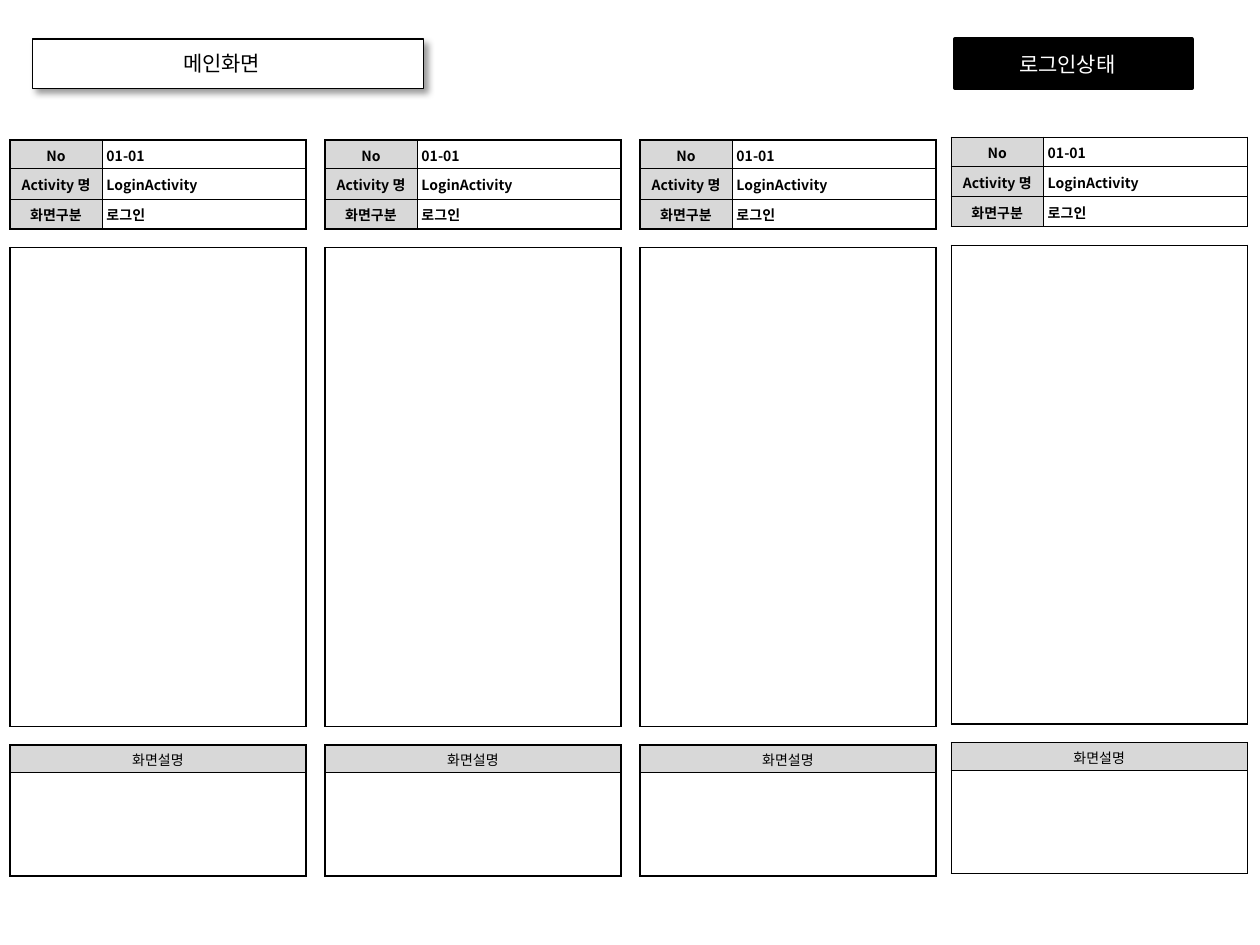
from lxml.etree import SubElement
from pptx import Presentation
from pptx.dml.color import RGBColor
from pptx.enum.shapes import MSO_SHAPE as Shape
from pptx.enum.text import MSO_ANCHOR as Anchor, MSO_AUTO_SIZE as Fit, PP_ALIGN as Align
from pptx.oxml import parse_xml
from pptx.oxml.ns import nsdecls, qn
from pptx.util import Inches, Pt

BLACK = RGBColor(0x00, 0x00, 0x00)
WHITE = RGBColor(0xFF, 0xFF, 0xFF)
GRAY = RGBColor(0xD8, 0xD8, 0xD8)
FONT = "Noto Sans CJK KR"
PLAIN = "{2D5ABB26-0587-4C30-8999-92F81FD0307C}"
COLS = [0.73, 1.62]
ROWS = [0.23, 0.24, 0.24, 0.07, 3.8, 0.14, 0.22, 0.82]
GAPS = (3, 5)
WIDE = (4, 6, 7)
FIELDS = [("No", " 01-01"), ("Activity 명", " LoginActivity"), ("화면구분", " 로그인")]
SPOTS = [(0.08, 1.11), (2.58, 1.11), (5.08, 1.11), (7.55, 1.09)]


def write(frame, text, size=8, font=FONT, color=BLACK, bold=False, align=Align.CENTER):
    """Put one formatted line into a text frame."""
    par = frame.paragraphs[0]
    par.alignment = align
    if not text:
        SubElement(par._p, qn("a:endParaRPr"), sz=str(size * 100))
        return
    run = par.add_run()
    run.text = text
    run.font.size = Pt(size)
    run.font.name = font
    run.font.bold = bold
    run.font.color.rgb = color
    SubElement(run._r.get_or_add_rPr(), qn("a:ea"), typeface=FONT)


def paint(shape, fill, width):
    """Give a shape its fill and black outline."""
    shape.fill.solid()
    shape.fill.fore_color.rgb = fill
    shape.line.color.rgb = BLACK
    shape.line.width = Pt(width)
    shape.shadow.inherit = False


def label(shape, text, color):
    """Set the text of a header box."""
    frame = shape.text_frame
    frame.auto_size = Fit.NONE
    frame.word_wrap = True
    frame.vertical_anchor = Anchor.MIDDLE
    frame.margin_left = 0
    frame.margin_right = Inches(0.1)
    frame.margin_top = frame.margin_bottom = Inches(0.05)
    write(frame, text, size=12, font="Arial", color=color)


def cast(shape):
    """Add a soft shadow to the lower right."""
    glow = shape._element.spPr.find(qn("a:effectLst"))
    glow.append(parse_xml(
        f'<a:outerShdw {nsdecls("a")} blurRad="{Pt(4)}" dist="{Pt(3)}" dir="2700000" '
        'algn="tl" rotWithShape="0"><a:srgbClr val="000000"><a:alpha val="40000"/>'
        '</a:srgbClr></a:outerShdw>'))


def edge(cell, sides):
    """Draw the cell borders given as side and width pairs."""
    props = cell._tc.get_or_add_tcPr()
    for spot, (side, width) in enumerate(sides):
        props.insert(spot, parse_xml(
            f'<a:ln{side} {nsdecls("a")} w="{Pt(width)}"><a:solidFill>'
            f'<a:srgbClr val="{BLACK}"/></a:solidFill></a:ln{side}>'))


def rule(cell, row, col):
    """Choose heavy outer and thin inner borders for a cell."""
    top = 0.5 if row in (1, 2, 7) else 1
    base = 0.5 if row in (0, 1, 6) else 1
    if row in GAPS:
        edge(cell, [("T", top), ("B", base)])
        return
    left = 0.5 if col and row not in WIDE else 1
    right = 1 if col or row in WIDE else 0.5
    edge(cell, [("L", left), ("R", right), ("T", top), ("B", base)])


def fill(cell, row, col):
    """Set the text, shade and borders of a cell."""
    cell.margin_left = cell.margin_right = cell.margin_top = Inches(0.01)
    cell.margin_bottom = 0
    cell.vertical_anchor = Anchor.MIDDLE
    text = FIELDS[row][col] if row < 3 else ""
    if (row, col) == (6, 0):
        text = "화면설명"
    side = Align.LEFT if row < 3 and col else Align.CENTER
    write(cell.text_frame, text, bold=row < 3, align=side)
    if row == 6 or (row < 3 and col == 0):
        cell.fill.solid()
        cell.fill.fore_color.rgb = GRAY
    else:
        cell.fill.background()
    rule(cell, row, col)


def panel(slide, left, top):
    """Add one screen table."""
    table = slide.shapes.add_table(
        len(ROWS), len(COLS), Inches(left), Inches(top),
        Inches(sum(COLS)), Inches(sum(ROWS))).table
    table.first_row = table.horz_banding = False
    table._tbl.tblPr.find(qn("a:tableStyleId")).text = PLAIN
    for col, width in enumerate(COLS):
        table.columns[col].width = Inches(width)
    for row, height in enumerate(ROWS):
        table.rows[row].height = Inches(height)
        if row in WIDE:
            table.cell(row, 0).merge(table.cell(row, 1))
        for col in range(len(COLS)):
            fill(table.cell(row, col), row, col)


def head(slide):
    """Format the title box."""
    title = slide.shapes.title
    title.left, title.top = Inches(0.26), Inches(0.31)
    title.width, title.height = Inches(3.1), Inches(0.39)
    paint(title, WHITE, 0.75)
    cast(title)
    label(title, "메인화면", BLACK)


def state(slide):
    """Add the black state box."""
    box = slide.shapes.add_shape(
        Shape.RECTANGLE, Inches(7.58), Inches(0.31), Inches(1.88), Inches(0.39))
    paint(box, BLACK, 2)
    label(box, "로그인상태", WHITE)


def main():
    """Build the slide and save it."""
    deck = Presentation()
    deck.slide_width, deck.slide_height = Inches(10), Inches(7.5)
    slide = deck.slides.add_slide(deck.slide_layouts[5])
    head(slide)
    state(slide)
    for left, top in SPOTS:
        panel(slide, left, top)
    deck.save("out.pptx")


main()
